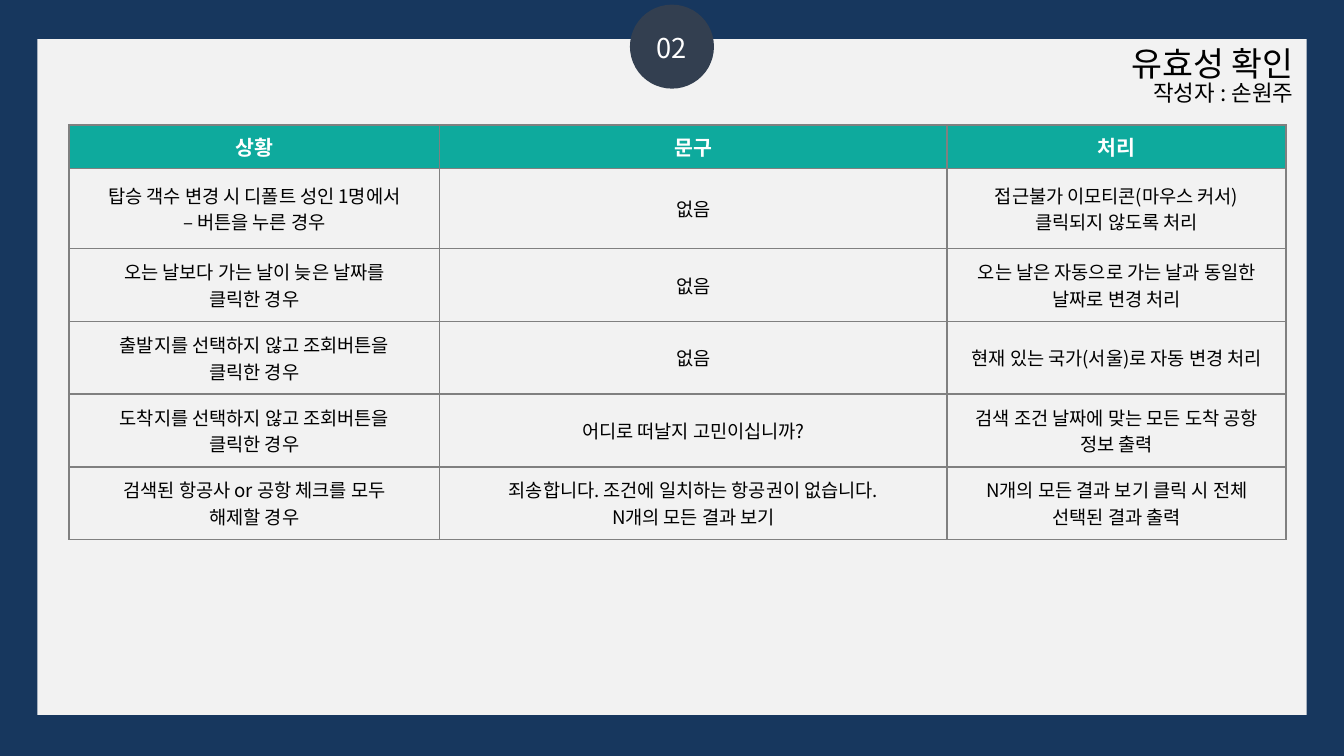
from pptx import Presentation
from pptx.dml.color import RGBColor
from pptx.enum.shapes import MSO_SHAPE
from pptx.enum.text import MSO_ANCHOR, MSO_AUTO_SIZE, PP_ALIGN
from pptx.oxml import parse_xml
from pptx.oxml.ns import nsdecls
from pptx.util import Pt

FONT = "Noto Sans CJK KR"
NAVY, PAPER, SLATE, TEAL = "17375E", "F2F2F2", "333F50", "0EAA9D"
GREY, BLACK, WHITE = "808080", "000000", "FFFFFF"

COLUMN_WIDTHS = [198.5, 272, 181.5]
ROW_HEIGHTS = [23, 43, 39, 39, 39, 39]
ROWS = [
    ["상황", "문구", "처리"],
    ["탑승 객수 변경 시 디폴트 성인 1명에서\n– 버튼을 누른 경우", "없음",
     "접근불가 이모티콘(마우스 커서)\n클릭되지 않도록 처리"],
    ["오는 날보다 가는 날이 늦은 날짜를\n클릭한 경우", "없음",
     "오는 날은 자동으로 가는 날과 동일한 날짜로 변경 처리"],
    ["출발지를 선택하지 않고 조회버튼을\n클릭한 경우", "없음",
     "현재 있는 국가(서울)로 자동 변경 처리"],
    ["도착지를 선택하지 않고 조회버튼을\n클릭한 경우", "어디로 떠날지 고민이십니까?",
     "검색 조건 날짜에 맞는 모든 도착 공항 정보 출력"],
    ["검색된 항공사 or 공항 체크를 모두\n해제할 경우",
     "죄송합니다. 조건에 일치하는 항공권이 없습니다.\nN개의 모든 결과 보기",
     "N개의 모든 결과 보기 클릭 시 전체 선택된 결과 출력"],
]


def paint(fill, color):
    fill.solid()
    fill.fore_color.rgb = RGBColor.from_string(color)


def format_paragraph(p, size, color, align=PP_ALIGN.CENTER, bold=False):
    p.alignment = align
    for r in p.runs:
        r.font.size, r.font.bold, r.font.name = Pt(size), bold, FONT
        r.font.color.rgb = RGBColor.from_string(color)
        # Korean glyphs take the East Asian typeface
        r.font._element.append(parse_xml(f'<a:ea {nsdecls("a")} typeface="{FONT}"/>'))


def add_plain_shape(s, kind, x, y, w, h, color):
    sp = s.shapes.add_shape(kind, Pt(x), Pt(y), Pt(w), Pt(h))
    sp.shadow.inherit = False
    paint(sp.fill, color)
    sp.line.fill.background()
    return sp


def add_number_badge(s, x, y, size, number):
    add_plain_shape(s, MSO_SHAPE.OVAL, x, y, size, size, SLATE)
    label = s.shapes.add_textbox(Pt(x - 3.5), Pt(y + 10.5), Pt(size + 7), Pt(25))
    tf = label.text_frame
    tf.word_wrap = True
    tf.text = number
    format_paragraph(tf.paragraphs[0], 14.6, WHITE)


def place_title(s, x, y, w, h, heading, author):
    title = s.shapes.title
    title.left, title.top, title.width, title.height = Pt(x), Pt(y), Pt(w), Pt(h)
    title.element.getparent().append(title.element)  # in front of the panel
    tf = title.text_frame
    tf.text = f"{heading}\n{author}"
    tf.word_wrap = True
    tf.auto_size = MSO_AUTO_SIZE.NONE
    tf.vertical_anchor = MSO_ANCHOR.TOP
    for p, size in zip(tf.paragraphs, (18, 12)):
        format_paragraph(p, size, BLACK, PP_ALIGN.RIGHT)
        p.line_spacing = 0.85
        p.space_before = Pt(0)


def add_borders(cell, color, width):
    tc_pr = cell._tc.get_or_add_tcPr()
    for side in "LRTB":
        tc_pr.append(parse_xml(
            f'<a:ln{side} {nsdecls("a")} w="{Pt(width)}"><a:solidFill>'
            f'<a:srgbClr val="{color}"/></a:solidFill></a:ln{side}>'))


def add_validation_table(s, x, y):
    frame = s.shapes.add_table(len(ROWS), len(COLUMN_WIDTHS), Pt(x), Pt(y),
                               Pt(sum(COLUMN_WIDTHS)), Pt(sum(ROW_HEIGHTS)))
    table = frame.table
    table.horz_banding = False
    for column, width in zip(table.columns, COLUMN_WIDTHS):
        column.width = Pt(width)
    for i, (row, height, texts) in enumerate(zip(table.rows, ROW_HEIGHTS, ROWS)):
        row.height = Pt(height)
        header = i == 0
        for cell, text in zip(row.cells, texts):
            add_borders(cell, GREY, 1)
            if header:
                paint(cell.fill, TEAL)
            else:
                cell.fill.background()
                cell.vertical_anchor = MSO_ANCHOR.MIDDLE
            cell.text_frame.text = text
            for p in cell.text_frame.paragraphs:
                format_paragraph(p, 11 if header else 10,
                                 WHITE if header else BLACK, bold=header)


def main():
    prs = Presentation()
    prs.slide_width, prs.slide_height = Pt(720), Pt(405)
    s = prs.slides.add_slide(prs.slide_layouts[5])
    paint(s.background.fill, NAVY)
    add_plain_shape(s, MSO_SHAPE.RECTANGLE, 20, 21, 680, 362, PAPER)
    add_number_badge(s, 337.5, 2.5, 45, "02")
    place_title(s, 541.5, 22.5, 158.5, 44, "유효성 확인", "작성자 : 손원주")
    add_validation_table(s, 37, 67)
    prs.save("out.pptx")


if __name__ == "__main__":
    main()
